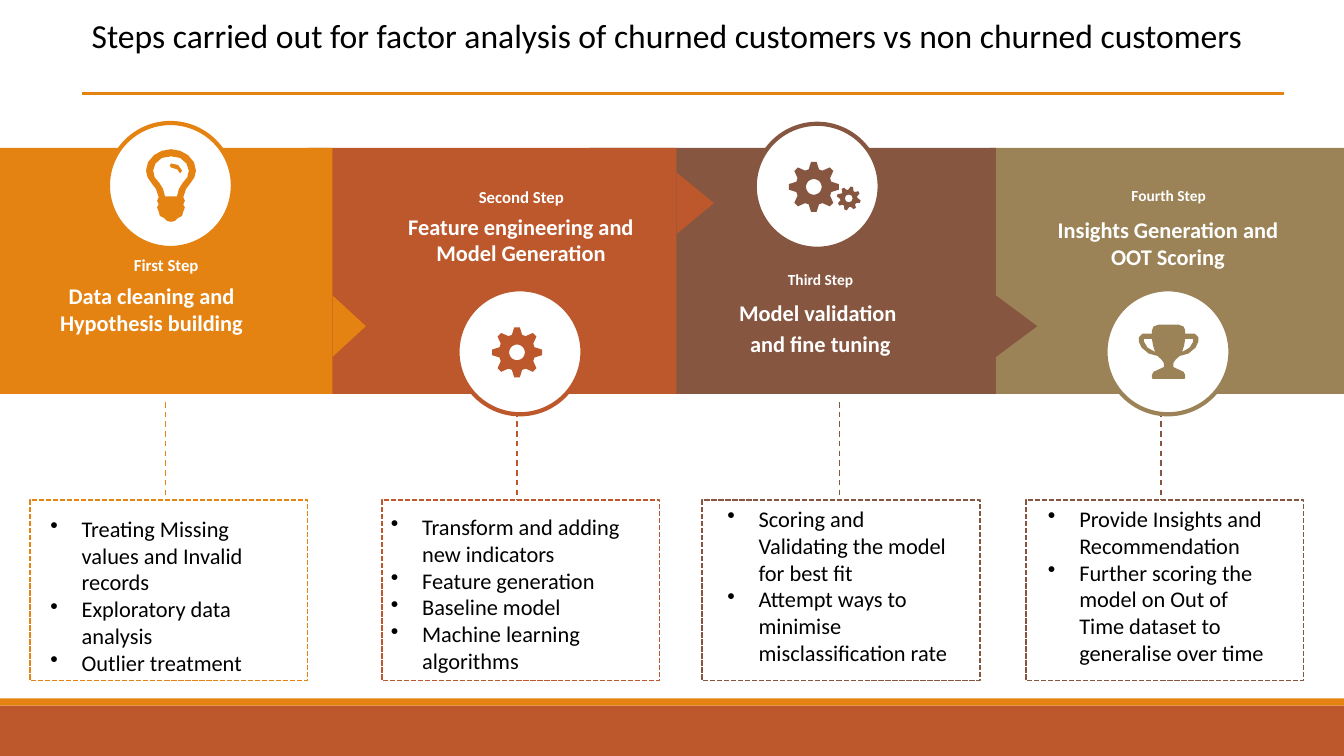
from dataclasses import dataclass
from math import cos, radians, sin

from lxml.etree import SubElement
from pptx import Presentation
from pptx.dml.color import RGBColor
from pptx.enum.dml import MSO_LINE_DASH_STYLE as Dash
from pptx.enum.shapes import MSO_CONNECTOR, MSO_SHAPE as Preset
from pptx.enum.text import MSO_ANCHOR as Anchor, MSO_AUTO_SIZE as AutoSize, PP_ALIGN as Align
from pptx.oxml.ns import qn
from pptx.util import Cm, Pt

Point = tuple[float, float]
Contour = list[Point]
Box = tuple[float, float, float, float]

COLORS = {"orange": "E48312", "rust": "BD582C", "brown": "865640",
          "khaki": "9B8357", "white": "FFFFFF", "black": "000000"}
SLIDE_W, SLIDE_H = 33.87, 19.05
BAND_TOP, BAND_H = 3.73, 6.2
ARROW_SPAN = 1.55
CIRCLE_SIZE = 3.15
LINK_TOP, DETAIL_TOP, DETAIL_W, DETAIL_H = 10.13, 12.6, 6.99, 4.55
BULLET_INDENT = 0.79


@dataclass
class Icon:
    """Contours in hundredths of a centimetre around a point of the slide."""
    at: Point
    contours: list[Contour]


@dataclass
class Step:
    color: str
    detail_color: str
    band: Point  # left, width
    arrow: Point  # depth, centre height
    circle: Point
    icons: list[Icon]
    label: str
    label_box: Box
    label_size: int
    label_anchor: Anchor
    heading: list[str]
    heading_box: Box
    link_x: float
    detail_left: float
    details: list[str]
    details_box: Box


def mirrored(half: Contour) -> Contour:
    return half + flipped(half)[::-1]


def flipped(contour: Contour) -> Contour:
    return [(-x, y) for x, y in contour]


def gear(radius: float, turn: float = 0) -> list[Contour]:
    """Eight teeth around a round hole."""
    corners = [(-17, 0.73), (-6, 1), (6, 1), (17, 0.73)]
    rim = [polar(radius * reach, turn + 45 * tooth + angle)
           for tooth in range(8) for angle, reach in corners]
    return [rim, [polar(radius * 0.32, angle) for angle in range(0, 360, 15)]]


def polar(radius: float, angle: float) -> Point:
    return radius * cos(radians(angle)), radius * sin(radians(angle))


BULB = [
    mirrored([(0, 0), (23, 4), (43, 15), (58, 33), (63, 54), (59, 71), (48, 87), (38, 100),
              (31, 121), (35, 130), (31, 139), (35, 147), (31, 157), (28, 168), (18, 173),
              (10, 181), (0, 183)]),
    mirrored([(0, 18), (23, 22), (39, 36), (45, 54), (41, 71), (30, 84), (20, 100),
              (15, 119), (0, 119)]),
    [(0, 36), (18, 40), (28, 54), (23, 61), (16, 51), (0, 46), (-3, 41)],
]
HANDLE = [(42, 36), (62, 36), (62, 43), (53, 58), (34, 69), (39, 53)]
TROPHY = [
    mirrored([(0, 0), (25, 0), (38, 5), (42, 15), (42, 23), (66, 23), (75, 32), (75, 43),
              (68, 58), (50, 73), (28, 79), (17, 89), (12, 97), (12, 107), (25, 113),
              (38, 119), (42, 127), (42, 135), (39, 137), (0, 137)]),
    HANDLE, flipped(HANDLE),
]

STEPS = [
    Step("orange", "orange", (0, 8.38), (0.84, 8.22), (2.72, 3.1), [Icon((4.31, 3.76), BULB)],
         "First Step", (3.02, 6.3, 2.34, 0.76), 12, Anchor.MIDDLE,
         ["Data cleaning and Hypothesis building"], (0.76, 7.11, 6.12, 1.37), 4.17, 0.76,
         ["Treating Missing values and Invalid records", "Exploratory data analysis",
          "Outlier treatment"], (1.02, 12.85, 6.32, 5.74)),
    Step("rust", "rust", (7.75, 9.3), (0.94, 5.12), (11.53, 7.29),
         [Icon((13.03, 8.88), gear(63))],
         "Second Step", (11.58, 4.57, 3.12, 0.76), 12, Anchor.MIDDLE,
         ["Feature engineering and Model Generation"], (10.21, 5.36, 5.84, 1.37), 13.03, 9.63,
         ["Transform and adding new indicators", "Feature generation", "Baseline model",
          "Machine learning algorithms"], (9.6, 12.8, 6.71, 5.05)),
    Step("brown", "brown", (14.86, 10.24), (1.04, 8.22), (19.02, 3.12),
         [Icon((20.51, 4.71), gear(63)), Icon((21.39, 5), gear(30, 15))],
         "Third Step", (19.84, 6.81, 1.68, 0.48), 11, Anchor.TOP,
         ["Model validation ", "and fine tuning"], (17.35, 7.54, 6.65, 1.5), 21.16, 17.7,
         ["Scoring and Validating the model for best fit",
          "Attempt ways to minimise misclassification rate"], (18.08, 12.6, 6.22, 5.05)),
    Step("khaki", "brown", (24.94, 8.93), (0, 0), (27.86, 7.29),
         [Icon((29.45, 8.18), TROPHY)],
         "Fourth Step", (28.12, 4.7, 2.67, 0.69), 11, Anchor.TOP,
         ["Insights Generation and OOT Scoring"], (26.11, 5.44, 6.65, 1.37), 29.26, 25.86,
         ["Provide Insights and Recommendation",
          "Further scoring the model on Out of Time dataset to generalise over time"],
         (26.16, 12.6, 6.22, 5.05)),
]


def rgb(color: str) -> RGBColor:
    return RGBColor.from_string(COLORS[color])


def paint(shape, fill: str | None, line: str | None = None, width: float = 1,
          dash: Dash | None = None) -> None:
    shape.shadow.inherit = False
    if fill:
        shape.fill.solid()
        shape.fill.fore_color.rgb = rgb(fill)
    else:
        shape.fill.background()
    if line:
        shape.line.color.rgb = rgb(line)
        shape.line.width = Pt(width)
        shape.line.dash_style = dash
    else:
        shape.line.fill.background()


def add_preset(shapes, preset: Preset, box: Box, *style):
    shape = shapes.add_shape(preset, *map(Cm, box))
    paint(shape, *style)
    return shape


def add_line(shapes, start: Point, end: Point, color: str, width: float,
             dash: Dash | None = None) -> None:
    line = shapes.add_connector(MSO_CONNECTOR.STRAIGHT, *map(Cm, start + end))
    line.line.color.rgb = rgb(color)
    line.line.width = Pt(width)
    line.line.dash_style = dash
    SubElement(line._element.spPr, qn("a:effectLst"))


def add_text(shapes, box: Box, texts: list[str], size: int, color: str = "black",
             bulleted: bool = False):
    frame = shapes.add_textbox(*map(Cm, box)).text_frame
    frame.word_wrap = True
    frame.auto_size = AutoSize.SHAPE_TO_FIT_TEXT
    frame.text = "\n".join(texts)
    for paragraph in frame.paragraphs:
        font = paragraph.font
        font.name, font.size, font.color.rgb = "Calibri", Pt(size), rgb(color)
        if bulleted:
            props = paragraph._p.get_or_add_pPr()
            props.set("marL", str(Cm(BULLET_INDENT)))
            props.set("indent", str(-Cm(BULLET_INDENT)))
            bullet = props.makeelement(qn("a:buChar"), {"char": "•"})
            props.insert_element_before(bullet, "a:tabLst", "a:defRPr", "a:extLst")
    return frame


def add_caption(shapes, box: Box, texts: list[str], size: int):
    """Bold white centred text without margins."""
    frame = add_text(shapes, box, texts, size, "white")
    frame.margin_left = frame.margin_right = frame.margin_top = frame.margin_bottom = 0
    for paragraph in frame.paragraphs:
        paragraph.alignment = Align.CENTER
        paragraph.space_before = Pt(size * 0.2)
        paragraph.font.bold = True
    return frame


def add_icon(shapes, icon: Icon, color: str) -> None:
    first, *holes = icon.contours
    builder = shapes.build_freeform(*first[0], scale=Cm(0.01))
    builder.add_line_segments(first[1:], close=True)
    for hole in holes:
        builder.move_to(*hole[0])
        builder.add_line_segments(hole[1:], close=True)
    paint(builder.convert_to_shape(*map(Cm, icon.at)), color)


def add_band(shapes, step: Step) -> None:
    left, width = step.band
    add_preset(shapes, Preset.RECTANGLE, (left, BAND_TOP, width, BAND_H), step.color)
    depth, middle = step.arrow
    if depth:
        centre = left + width + depth / 2
        box = (centre - ARROW_SPAN / 2, middle - depth / 2, ARROW_SPAN, depth)
        add_preset(shapes, Preset.ISOSCELES_TRIANGLE, box, step.color).rotation = 90


def add_step(shapes, step: Step) -> None:
    add_preset(shapes, Preset.OVAL, (*step.circle, CIRCLE_SIZE, CIRCLE_SIZE),
               "white", step.color, 3)
    for icon in step.icons:
        add_icon(shapes, icon, step.color)
    label = add_caption(shapes, step.label_box, [step.label], step.label_size)
    label.word_wrap = False
    label.vertical_anchor = step.label_anchor
    add_caption(shapes, step.heading_box, step.heading, 16)
    add_preset(shapes, Preset.RECTANGLE, (step.detail_left, DETAIL_TOP, DETAIL_W, DETAIL_H),
               None, step.detail_color, 1.25, Dash.SQUARE_DOT)
    add_text(shapes, step.details_box, step.details, 16, bulleted=True)


def main() -> None:
    deck = Presentation()
    deck.slide_width, deck.slide_height = Cm(SLIDE_W), Cm(SLIDE_H)
    shapes = deck.slides.add_slide(deck.slide_layouts[6]).shapes
    add_preset(shapes, Preset.RECTANGLE, (0, 17.78, SLIDE_W, 1.27), "rust")
    add_preset(shapes, Preset.RECTANGLE, (0, 17.6, SLIDE_W, 0.18), "orange")
    for step in reversed(STEPS):
        add_line(shapes, (step.link_x, LINK_TOP), (step.link_x, DETAIL_TOP),
                 step.detail_color, 1, Dash.DASH)
        add_band(shapes, step)
    for step in STEPS:
        add_step(shapes, step)
    add_line(shapes, (2.06, 2.36), (32.36, 2.36), "orange", 2.25)
    add_text(shapes, (2.06, 0.25, 29.82, 1.27),
             ["Steps carried out for factor analysis of churned customers vs non churned customers"],
             24)
    deck.save("out.pptx")


if __name__ == "__main__":
    main()
